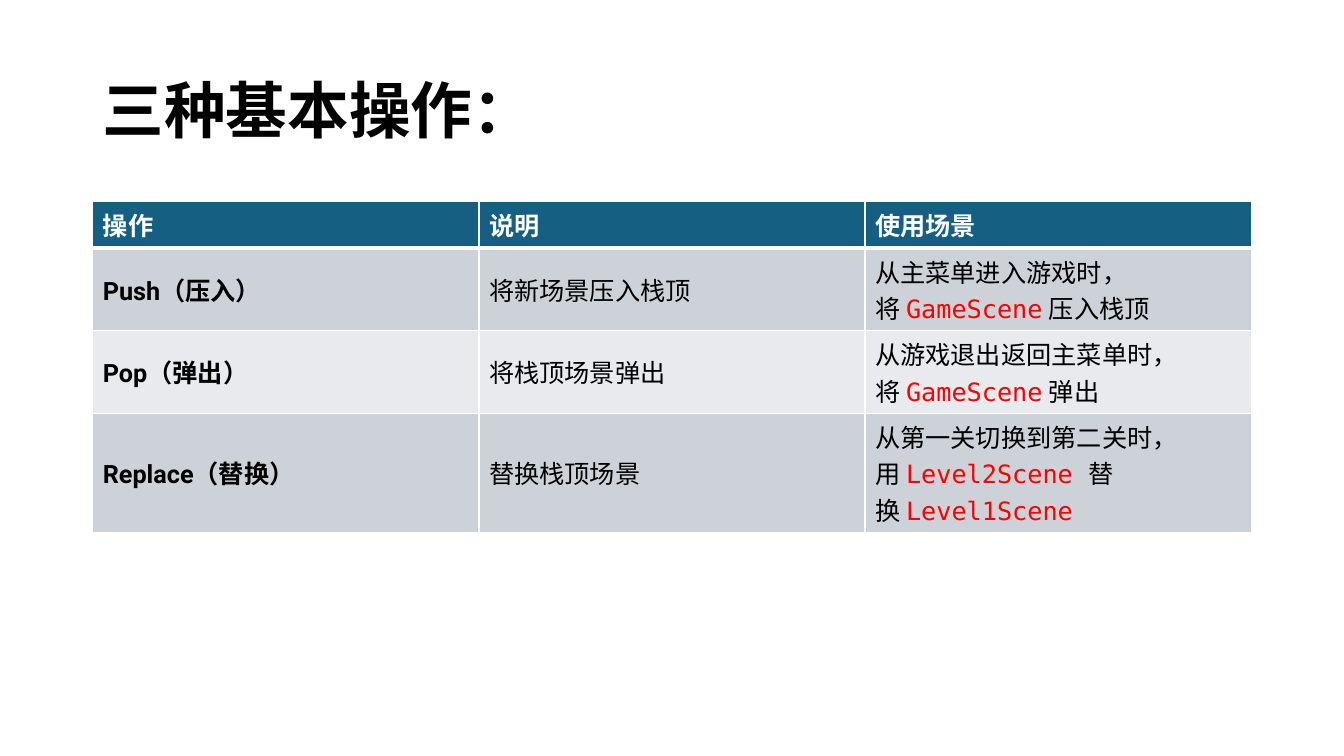
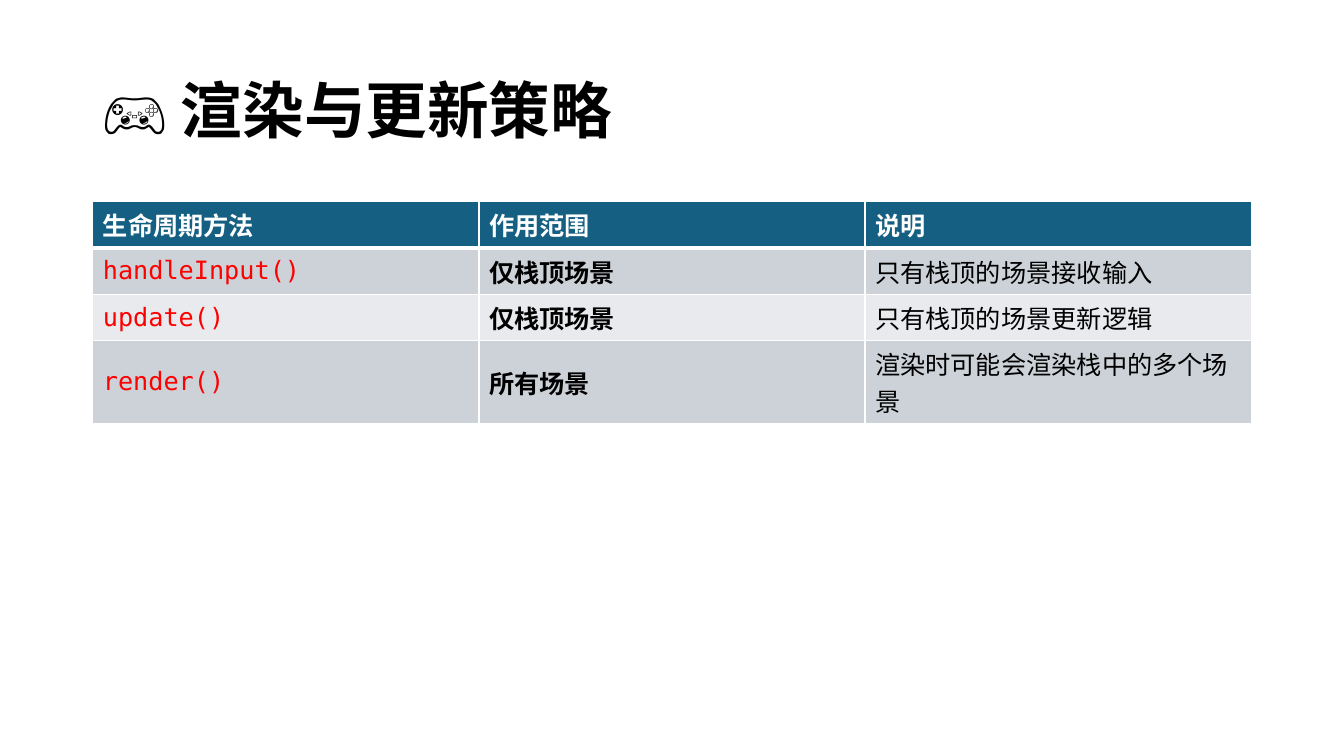
from lxml.etree import SubElement as Sub
from pptx import Presentation
from pptx.dml.color import RGBColor
from pptx.enum.text import MSO_ANCHOR as Anchor
from pptx.oxml.ns import qn
from pptx.util import Inches, Pt

BLACK = RGBColor(0x00, 0x00, 0x00)
WHITE = RGBColor(0xFF, 0xFF, 0xFF)
RED = RGBColor(0xFF, 0x00, 0x00)
TEAL = RGBColor(0x15, 0x60, 0x82)
BANDS = RGBColor(0xCC, 0xD2, 0xD8), RGBColor(0xE8, 0xEA, 0xED)
SANS, MONO = "Roboto", "DejaVu Sans Mono"
LEFT, WIDTH = Inches(0.92), Inches(11.5)
COL, LINE, PAD = Inches(3.83), Inches(0.36), Inches(0.1)
HARD = chr(160)

DECK = [
    {
        "title": "三种基本操作：",
        "bold": 0,
        "lines": (1, 2, 2, 3),
        "rows": [
            ("操作", "说明", "使用场景"),
            ("Push（压入）", "将新场景压入栈顶",
             "从主菜单进入游戏时，将 `GameScene` 压入栈顶"),
            ("Pop（弹出）", "将栈顶场景弹出",
             "从游戏退出返回主菜单时，将 `GameScene` 弹出"),
            ("Replace（替换）", "替换栈顶场景",
             "从第一关切换到第二关时，用 `Level2Scene `替换 `Level1Scene`"),
        ],
    },
    {
        "title": "🎮 渲染与更新策略",
        "bold": 1,
        "lines": (1, 1, 1, 2),
        "rows": [
            ("生命周期方法", "作用范围", "说明"),
            ("`handleInput()`", "仅栈顶场景", "只有栈顶的场景接收输入"),
            ("`update()`", "仅栈顶场景", "只有栈顶的场景更新逻辑"),
            ("`render()`", "所有场景", "渲染时可能会渲染栈中的多个场景"),
        ],
    },
]


def style(font, size, color, bold):
    font.name = SANS
    font.size = Pt(size)
    font.color.rgb = color
    font.bold = bold


def add_title(slide, text):
    box = slide.shapes.add_textbox(LEFT, Inches(0.4), WIDTH, Inches(1.45))
    frame = box.text_frame
    frame.word_wrap = True
    frame.vertical_anchor = Anchor.MIDDLE
    para = frame.paragraphs[0]
    para.text = text
    para.line_spacing = 0.9
    style(para.font, 44, BLACK, True)


def add_lines(cell, head):
    props = cell._tc.get_or_add_tcPr()
    for side in "LRTB":
        size = Pt(3 if head and side == "B" else 1)
        line = Sub(props, qn(f"a:ln{side}"), w=str(size))
        fill = Sub(line, qn("a:solidFill"))
        Sub(fill, qn("a:srgbClr"), val=str(WHITE))


def fill_cell(cell, text, row, bold):
    head = row == 0
    add_lines(cell, head)
    cell.fill.solid()
    cell.fill.fore_color.rgb = TEAL if head else BANDS[(row - 1) % 2]
    cell.vertical_anchor = Anchor.MIDDLE
    para = cell.text_frame.paragraphs[0]
    style(para.font, 18, WHITE if head else BLACK, head or bold)
    for i, part in enumerate(text.replace(" ", HARD).split("`")):
        if not part:
            continue
        run = para.add_run()
        run.text = part
        if i % 2:
            run.font.name = MONO
            run.font.color.rgb = RED
            run.font.bold = False


def add_grid(slide, rows, lines, bold):
    cols = len(rows[0])
    highs = [PAD + LINE * n for n in lines]
    grid = slide.shapes.add_table(
        len(rows), cols, LEFT, Inches(2), COL * cols, sum(highs)).table
    for r, texts in enumerate(rows):
        grid.rows[r].height = highs[r]
        for c, text in enumerate(texts):
            fill_cell(grid.cell(r, c), text, r, c == bold)


def main():
    prs = Presentation()
    prs.slide_width, prs.slide_height = Inches(13.33), Inches(7.5)
    for page in DECK:
        slide = prs.slides.add_slide(prs.slide_layouts[6])
        add_title(slide, page["title"])
        add_grid(slide, page["rows"], page["lines"], page["bold"])
    prs.save("out.pptx")


if __name__ == "__main__":
    main()
